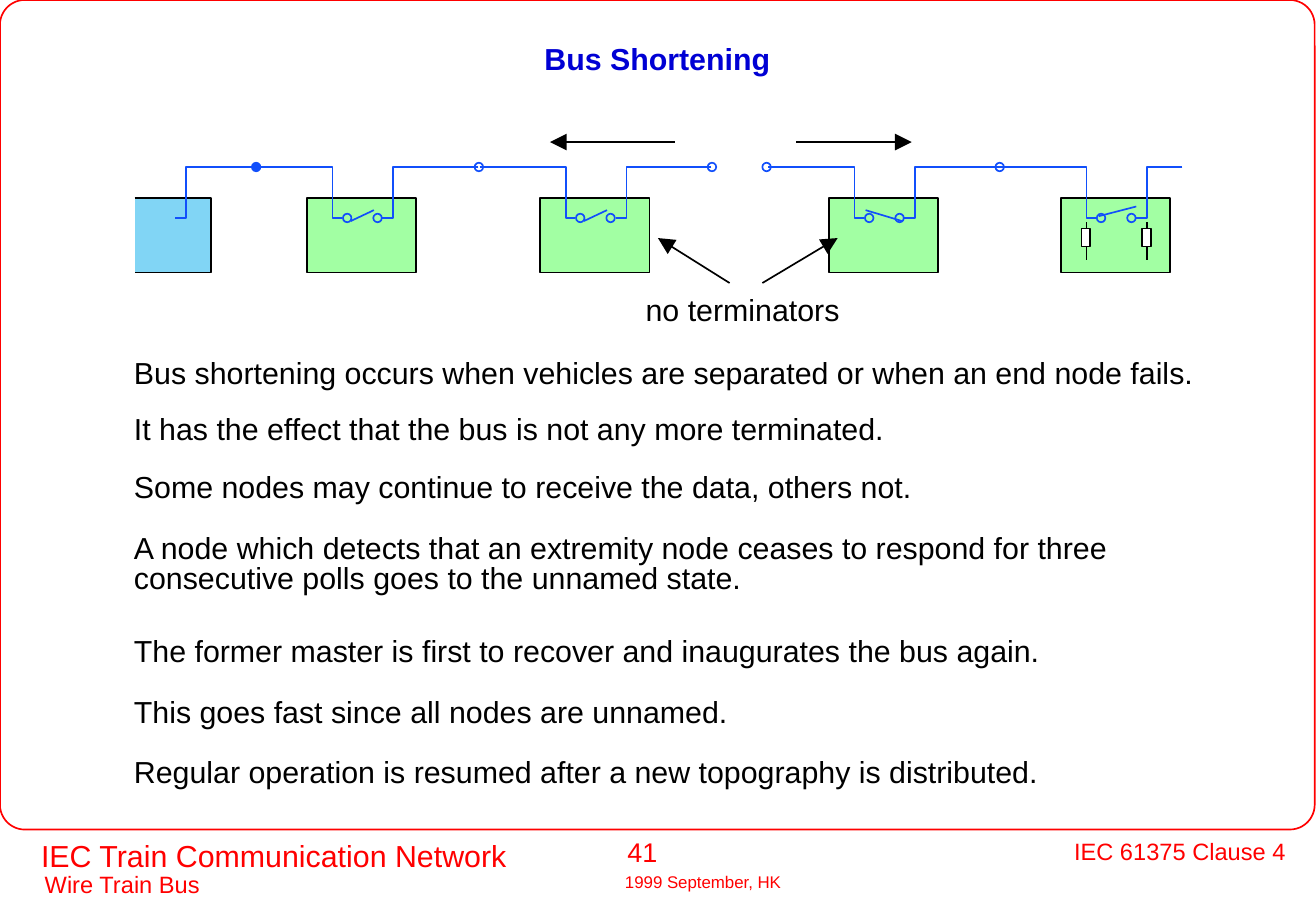
from lxml.etree import SubElement
from pptx import Presentation
from pptx.dml.color import RGBColor
from pptx.enum.shapes import MSO_CONNECTOR, MSO_SHAPE
from pptx.enum.text import MSO_ANCHOR, PP_ALIGN
from pptx.oxml.ns import qn
from pptx.util import Inches, Pt

SLIDE_W, SLIDE_H = Inches(10.84), Inches(7.5)
COLS, ROWS = 108.4, 75
RED = RGBColor(0xFF, 0x00, 0x00)
NAVY = RGBColor(0x00, 0x00, 0xD4)
BLUE = RGBColor(0x11, 0x4F, 0xFB)
SKY = RGBColor(0x81, 0xD5, 0xF5)
GREEN = RGBColor(0xA2, 0xFF, 0xA3)
WHITE = RGBColor(0xFF, 0xFF, 0xFF)
BLACK = RGBColor(0x00, 0x00, 0x00)

BUS_Y, BOX_Y, CONTACT_Y = 13.75, 16.3, 17.95
BOX_W, BOX_H = 9, 6.15
RING = 0.7
OPEN_UP = (3.6, 18.2, 5.5, 17.3)
OPEN_DOWN = (6, 18.2, 3, 17.3)
CLOSED = (6.2, 17, 3.1, 17.8)
NODES = [
    (25.3, OPEN_UP, 14.1),
    (44.5, OPEN_UP, 14.1),
    (68.3, OPEN_DOWN, 14.1),
    (87.4, CLOSED, 10),
]
STATEMENTS = [
    ("Bus shortening occurs when vehicles are separated or when an end node fails.", 0),
    ("It has the effect that the bus is not any more terminated.", 15),
    ("Some nodes may continue to receive the data, others not.", 16.5),
    ("A node which detects that an extremity node ceases to respond for three "
     "consecutive polls goes to the unnamed state.", 18),
    ("The former master is first to recover and inaugurates the bus again.", 25),
    ("This goes fast since all nodes are unnamed.", 18),
    ("Regular operation is resumed after a new topography is distributed.", 18),
]


def col(n):
    return round(SLIDE_W * n / COLS)


def row(n):
    return round(SLIDE_H * n / ROWS)


def paint(s, fill, line):
    s.shadow.inherit = False
    if fill is None:
        s.fill.background()
    else:
        s.fill.solid()
        s.fill.fore_color.rgb = fill
    s.line.color.rgb = line
    s.line.width = Pt(1)


def add_box(sp, kind, x, y, w, h, fill=None, line=BLACK):
    s = sp.add_shape(kind, col(x), row(y), col(w), row(h))
    paint(s, fill, line)
    return s


def add_ring(sp, x, y, fill=None):
    add_box(sp, MSO_SHAPE.OVAL, x - RING / 2, y - RING / 2, RING, RING, fill, BLUE)


def add_path(sp, points, fill=None, line=BLUE):
    start, *rest = [(col(x), row(y)) for x, y in points]
    builder = sp.build_freeform(*start)
    builder.add_line_segments(rest, close=False)
    paint(builder.convert_to_shape(), fill, line)


def add_line(sp, x1, y1, x2, y2, color=BLACK, arrow=False):
    s = sp.add_connector(MSO_CONNECTOR.STRAIGHT, col(x1), row(y1), col(x2), row(y2))
    s.line.color.rgb = color
    s.line.width = Pt(1)
    if arrow:
        SubElement(s.line._ln, qn("a:tailEnd"), type="triangle", w="lg", len="lg")
    SubElement(s._element.spPr, qn("a:effectLst"))


def write(p, text, size=18, color=BLACK, bold=False, align=PP_ALIGN.LEFT,
          spacing=None, before=0):
    p.alignment = align
    if spacing:
        p.line_spacing = spacing
    if before:
        p.space_before = Pt(before)
    r = p.add_run()
    r.text = text
    r.font.name = "Arial"
    r.font.size = Pt(size)
    r.font.bold = bold
    r.font.color.rgb = color


def add_text(sp, x, y, w, h):
    tf = sp.add_textbox(col(x), row(y), col(w), row(h)).text_frame
    tf.word_wrap = True
    return tf


def add_title(s, text):
    title = s.shapes.title
    title.left, title.top, title.width, title.height = col(1.8), row(2.2), col(104.7), row(5.6)
    tf = title.text_frame
    tf.vertical_anchor = MSO_ANCHOR.MIDDLE
    write(tf.paragraphs[0], text, color=NAVY, bold=True, align=PP_ALIGN.CENTER, spacing=0.9)


def add_wire(sp, x, far, drop, contact):
    add_path(sp, [(x + far, BUS_Y), (x + drop, BUS_Y),
                  (x + drop, CONTACT_Y), (x + contact, CONTACT_Y)])


def add_node(sp, x, switch, reach):
    add_box(sp, MSO_SHAPE.RECTANGLE, x, BOX_Y, BOX_W, BOX_H, GREEN)
    add_wire(sp, x, -5, 2.1, 2.9)
    add_wire(sp, x, reach, 7.1, 6.2)
    for contact in (3.3, 5.8):
        add_ring(sp, x + contact, CONTACT_Y)
    x1, y1, x2, y2 = switch
    add_line(sp, x + x1, y1, x + x2, y2, BLUE)


def add_terminator(sp, x):
    add_line(sp, x, 18.3, x, 21.4)
    add_box(sp, MSO_SHAPE.RECTANGLE, x - 0.4, 18.8, 0.7, 1.5, WHITE)


def add_bus(sp):
    right, bottom = 17.4, BOX_Y + BOX_H
    add_path(sp, [(11.1, BOX_Y), (right, BOX_Y), (right, bottom), (11.1, bottom)], SKY, BLACK)
    add_wire(sp, 8.2, 14.1, 7.1, 6.2)
    for node in NODES:
        add_node(sp, *node)
    add_ring(sp, 21.1, BUS_Y, BLUE)
    for x in (39.45, 58.65, 63.15, 82.35):
        add_ring(sp, x, BUS_Y)
    for x in (89.5, 94.5):
        add_terminator(sp, x)
    for arrow in ((55.6, 11.7, 45.3, 11.7), (65.6, 11.7, 75.1, 11.7),
                  (60.1, 23.3, 54.2, 19.6), (62.8, 23.3, 69, 19.6)):
        add_line(sp, *arrow, arrow=True)
    write(add_text(sp, 52.2, 23.5, 20, 4).paragraphs[0], "no terminators")


def add_statements(sp):
    tf = add_text(sp, 10.05, 29.2, 92, 37)
    for i, (text, before) in enumerate(STATEMENTS):
        p = tf.add_paragraph() if i else tf.paragraphs[0]
        write(p, text, spacing=Pt(18), before=before)


def add_frame(sp):
    s = add_box(sp, MSO_SHAPE.ROUNDED_RECTANGLE, 0, 0, 108.3, 68.3, line=RED)
    s.adjustments[0] = 0.03
    for text, x, y, w, size, align in (
        ("IEC Train Communication Network", 2.4, 68.4, 42, 18, PP_ALIGN.LEFT),
        ("Wire Train Bus", 2.7, 71.1, 20, 14, PP_ALIGN.LEFT),
        ("41", 50.7, 68.3, 12, 16, PP_ALIGN.LEFT),
        ("1999 September, HK", 50.5, 71.3, 20, 10, PP_ALIGN.LEFT),
        ("IEC 61375 Clause 4", 83, 68.4, 23.9, 14, PP_ALIGN.RIGHT),
    ):
        write(add_text(sp, x, y, w, 3.3).paragraphs[0], text, size=size, color=RED, align=align)


def main():
    prs = Presentation()
    prs.slide_width, prs.slide_height = SLIDE_W, SLIDE_H
    s = prs.slides.add_slide(prs.slide_layouts[5])
    add_frame(s.shapes)
    add_title(s, "Bus Shortening")
    add_statements(s.shapes)
    add_bus(s.shapes)
    prs.save("out.pptx")


if __name__ == "__main__":
    main()
